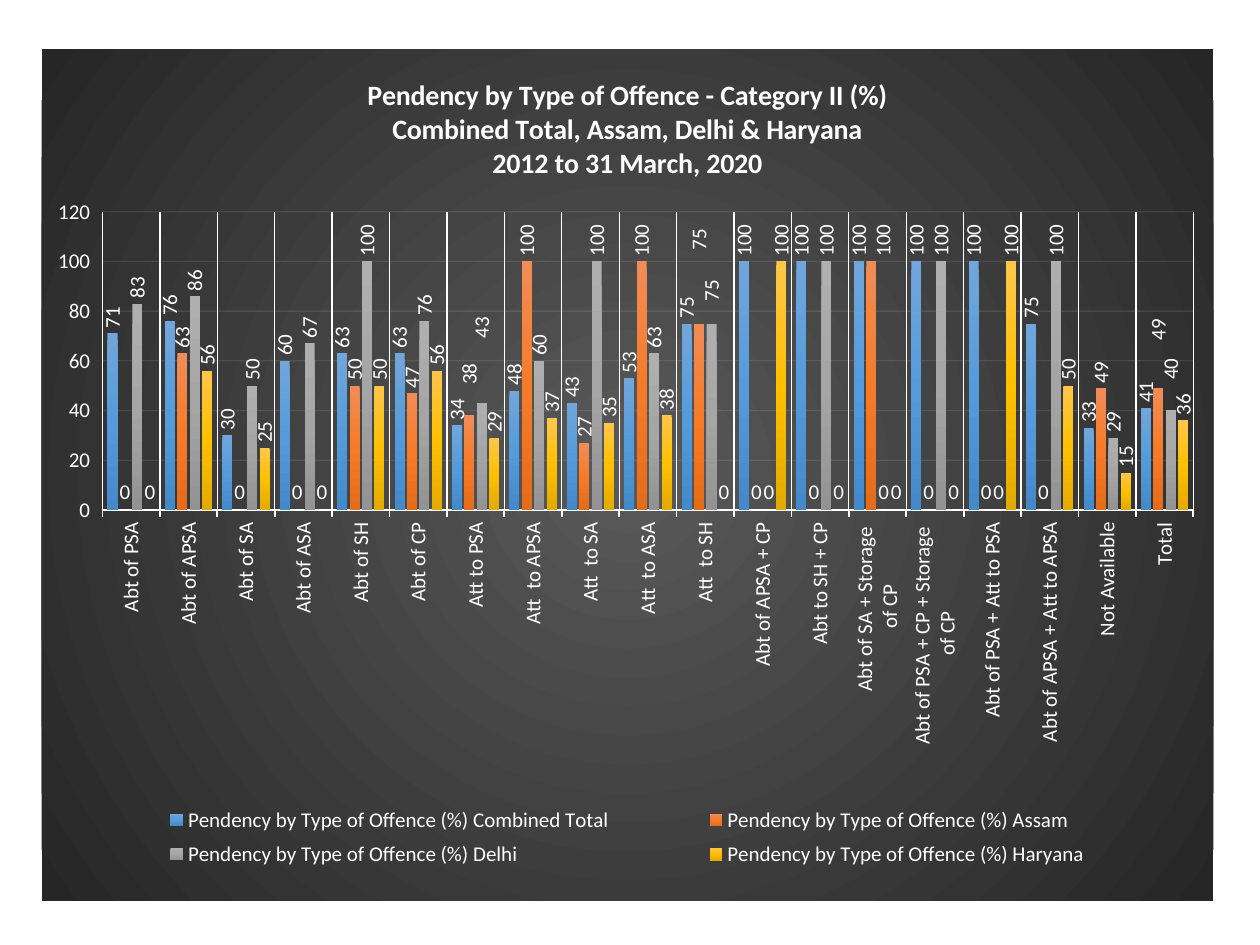
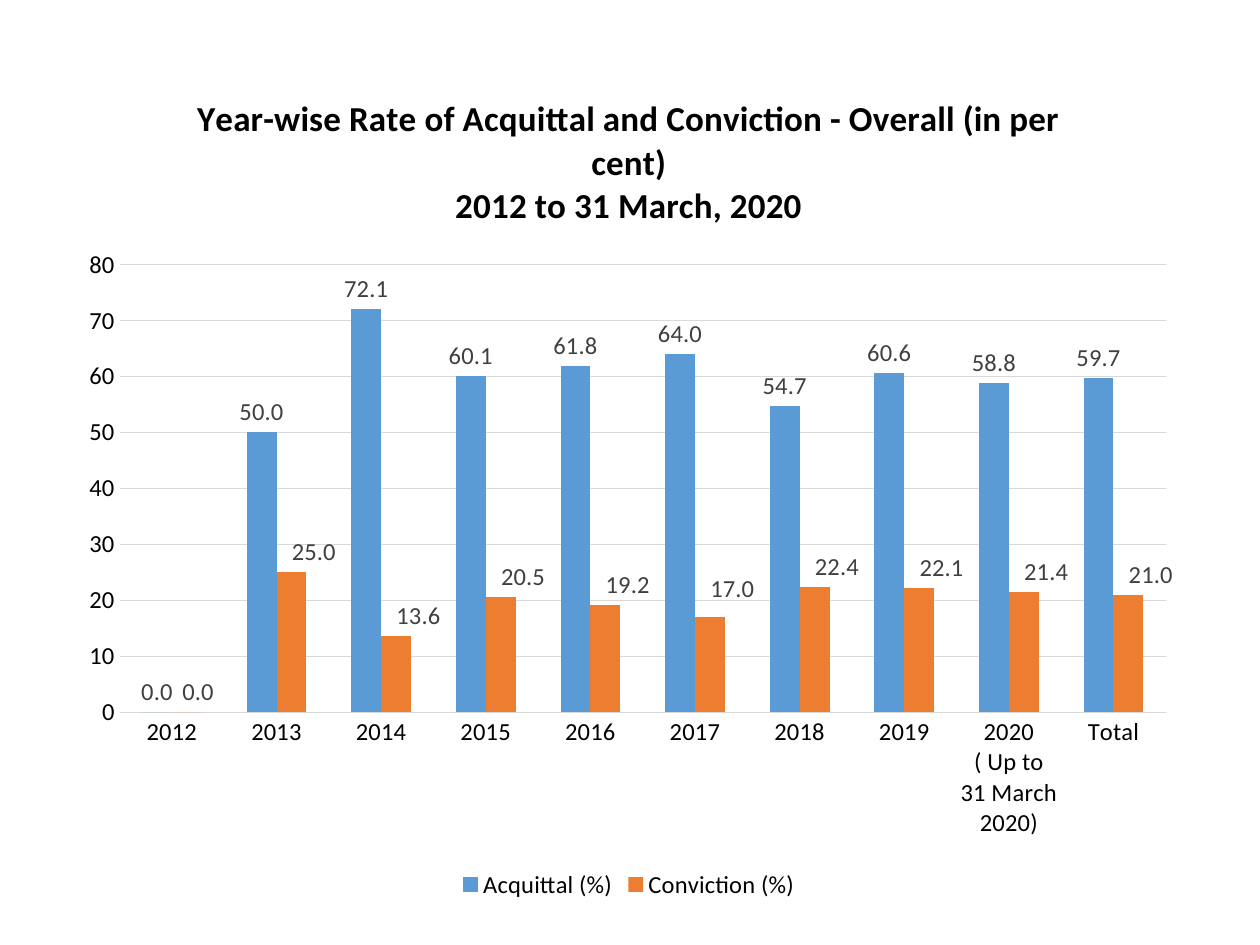
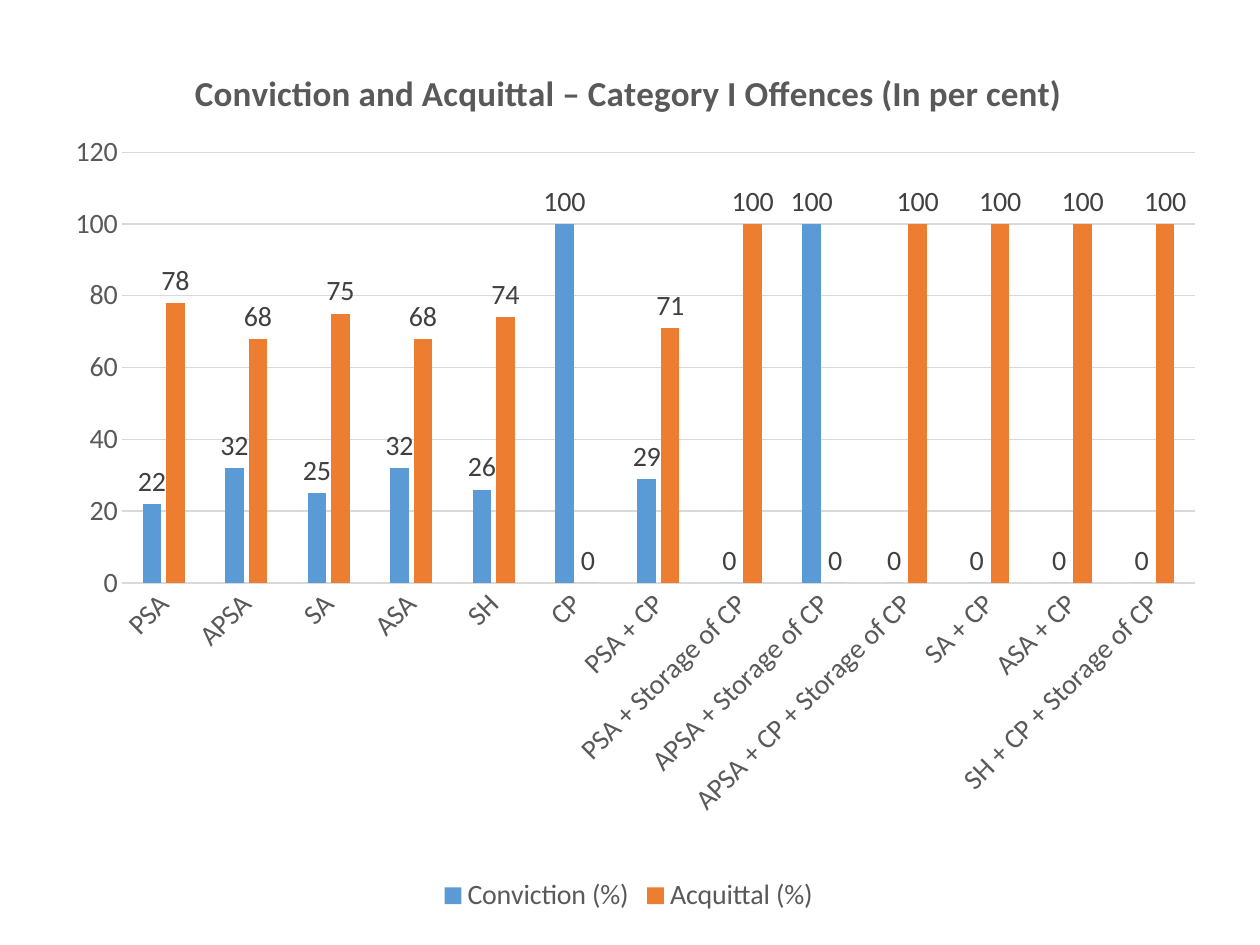
"""Build three slides of column charts on pendency, acquittal and conviction."""
from dataclasses import dataclass, field
from typing import Any, Optional

from lxml.etree import SubElement
from pptx import Presentation
from pptx.chart.data import CategoryChartData
from pptx.dml.color import RGBColor
from pptx.enum.chart import XL_CHART_TYPE, XL_LABEL_POSITION, XL_LEGEND_POSITION
from pptx.enum.chart import XL_TICK_LABEL_POSITION, XL_TICK_MARK
from pptx.oxml import parse_xml
from pptx.oxml.ns import nsdecls, qn
from pptx.util import Inches, Pt


@dataclass(frozen=True)
class Theme:
    """Shared font, colours and type sizes."""
    font: str = "Calibri"
    white: str = "FFFFFF"
    black: str = "000000"
    grey: str = "595959"
    label: str = "404040"
    rule: str = "D9D9D9"
    faint_rule: str = "F2F2F2"
    blue: str = "5B9BD5"
    orange: str = "ED7D31"
    panel: tuple[str, ...] = ("595959", "262626")
    blue_shades: tuple[str, ...] = ("71A6DB", "559BDB", "448ACA")
    orange_shades: tuple[str, ...] = ("F18C57", "F67B28", "E56C19")
    grey_shades: tuple[str, ...] = ("AFAFAF", "A5A5A5", "939393")
    gold_shades: tuple[str, ...] = ("FFC64B", "FFC000", "E3AB00")
    small: int = 12
    medium: int = 14
    large: int = 16
    heading: int = 20


THEME = Theme()


@dataclass(frozen=True)
class Series:
    """One set of columns; shifts move single labels by chart fractions."""
    name: str
    values: tuple[float, ...]
    shades: tuple[str, ...]
    shifts: dict[int, tuple[float, float]] = field(default_factory=dict)


@dataclass(frozen=True)
class ColumnChart:
    """Everything that differs between the chart slides."""
    title: str
    box: tuple[float, float, float, float]
    plot: tuple[float, float, float, float]
    categories: tuple[str, ...]
    series: tuple[Series, ...]
    gap: int
    overlap: int
    title_size: int
    text_size: int
    title_color: str
    text_color: str
    label_color: str
    maximum: int
    step: int
    label_format: str = "0"
    category_turn: int = 0
    label_turn: int = 0
    category_place: XL_TICK_LABEL_POSITION = XL_TICK_LABEL_POSITION.NEXT_TO_AXIS
    axis_line: Optional[str] = None
    axis_width: float = 0.75
    category_grid: Optional[str] = None
    value_grid: str = THEME.rule
    grid_opacity: int = 100
    tick: XL_TICK_MARK = XL_TICK_MARK.NONE
    panel: tuple[str, ...] = ()
    legend: tuple[float, ...] = ()


def apply_format(target: Any, values: dict[str, Any]) -> None:
    """Set every named attribute on the target."""
    for name, value in values.items():
        setattr(target, name, value)


def format_font(font: Any, size: int, color: str, bold: bool = False) -> None:
    """Give a font the theme face with a size and colour."""
    apply_format(font, {"name": THEME.font, "size": Pt(size), "bold": bold})
    font.color.rgb = RGBColor.from_string(color)


def format_line(line: Any, color: Optional[str], width: float = 0.75, opacity: int = 100) -> None:
    """Colour a line, or hide it when there is no colour."""
    if color is None:
        line.fill.background()
        return
    line.width = Pt(width)
    line.color.rgb = RGBColor.from_string(color)
    if opacity < 100:
        color_element = line._ln.find(f".//{qn('a:srgbClr')}")
        SubElement(color_element, qn("a:alpha"), val=str(opacity * 1000))


def gradient(colors: tuple[str, ...], direction: str) -> Any:
    """Make a gradient fill with evenly spaced stops."""
    stops = "".join(
        f'<a:gs pos="{100000 * index // (len(colors) - 1)}"><a:srgbClr val="{color}"/></a:gs>'
        for index, color in enumerate(colors))
    return parse_xml(f'<a:gradFill {nsdecls("a")} rotWithShape="1">'
                     f'<a:gsLst>{stops}</a:gsLst>{direction}</a:gradFill>')


def turn_text(element: Any, degrees: int) -> None:
    """Rotate the text of a chart element."""
    body = element.find(f"{qn('c:txPr')}/{qn('a:bodyPr')}")
    body.set("rot", str(degrees * 60000))
    body.set("vert", "horz")


def add_layout(parent: Any, values: dict[str, Any]) -> Any:
    """Add a manual layout with the given settings."""
    layout = SubElement(parent, qn("c:layout"))
    manual = SubElement(layout, qn("c:manualLayout"))
    for name, value in values.items():
        SubElement(manual, qn(f"c:{name}"), val=str(value))
    return layout


def place_part(part: Any, place: tuple[float, ...], position: int, target: dict[str, str]) -> None:
    """Fix a chart part at fractions of the chart."""
    for layout in part.findall(qn("c:layout")):
        part.remove(layout)
    settings = target | {"xMode": "edge", "yMode": "edge"} | dict(zip("xywh", place))
    part.insert(position, add_layout(part, settings))


def paint_panel(chart: Any, colors: tuple[str, ...]) -> None:
    """Fill the whole chart with a radial gradient."""
    properties = parse_xml(f'<c:spPr {nsdecls("c", "a")}><a:ln><a:noFill/></a:ln></c:spPr>')
    properties.insert(0, gradient(
        colors, '<a:path path="circle"><a:fillToRect l="50000" t="50000" '
                'r="50000" b="50000"/></a:path>'))
    chart._chartSpace.find(qn("c:chart")).addnext(properties)


def format_point_label(point: Any, spec: ColumnChart, turn: int, shift: tuple[float, float]) -> None:
    """Give one label its own turn and offset."""
    label = point.data_label
    format_font(label.font, spec.text_size, spec.label_color)
    label.position = XL_LABEL_POSITION.OUTSIDE_END
    element = label._dLbl
    turn_text(element, turn)
    index = element.find(qn("c:idx"))
    number_format = SubElement(element, qn("c:numFmt"), formatCode=spec.label_format, sourceLinked="0")
    index.addnext(number_format)
    if any(shift):
        index.addnext(add_layout(element, dict(zip("xy", shift))))


def format_series(plot_series: Any, series: Series, spec: ColumnChart) -> None:
    """Fill one series and set its labels."""
    fill = plot_series.format.fill
    fill.solid()
    fill.fore_color.rgb = RGBColor.from_string(series.shades[0])
    if len(series.shades) > 1:
        properties = plot_series._element.find(qn("c:spPr"))
        properties.replace(properties.find(qn("a:solidFill")),
                           gradient(series.shades, '<a:lin ang="5400000" scaled="0"/>'))
    plot_series.invert_if_negative = False
    labels = plot_series.data_labels
    format_font(labels.font, spec.text_size, spec.label_color)
    apply_format(labels, {"show_value": True, "number_format": spec.label_format,
                          "number_format_is_linked": False,
                          "position": XL_LABEL_POSITION.OUTSIDE_END})
    turn_text(labels._element, spec.label_turn)
    for leader_lines in labels._element.findall(qn("c:showLeaderLines")):
        leader_lines.set("val", "0")
    for index, value in enumerate(series.values):
        upright = value == 0 and spec.label_turn != 0
        if upright or index in series.shifts:
            turn = 0 if upright else spec.label_turn
            format_point_label(plot_series.points[index], spec, turn, series.shifts.get(index, (0, 0)))


def format_axes(chart: Any, spec: ColumnChart) -> None:
    """Set both axes, their lines and gridlines."""
    category, value = chart.category_axis, chart.value_axis
    for axis, grid, opacity in ((category, spec.category_grid, 100),
                                (value, spec.value_grid, spec.grid_opacity)):
        apply_format(axis, {"major_tick_mark": spec.tick, "minor_tick_mark": XL_TICK_MARK.NONE,
                            "has_major_gridlines": grid is not None})
        format_font(axis.tick_labels.font, spec.text_size, spec.text_color)
        if grid:
            format_line(axis.major_gridlines.format.line, grid, opacity=opacity)
    category.tick_label_position = spec.category_place
    format_line(category.format.line, spec.axis_line, spec.axis_width)
    turn_text(category._element, spec.category_turn)
    apply_format(value, {"minimum_scale": 0, "maximum_scale": spec.maximum, "major_unit": spec.step})
    apply_format(value.tick_labels, {"number_format": "0", "number_format_is_linked": False})
    format_line(value.format.line, None)


def add_chart_slide(presentation: Any, spec: ColumnChart) -> None:
    """Add a blank slide holding one column chart."""
    slide = presentation.slides.add_slide(presentation.slide_layouts[6])
    data = CategoryChartData(number_format=spec.label_format)
    data.categories = spec.categories
    for series in spec.series:
        data.add_series(series.name, series.values)
    chart = slide.shapes.add_chart(XL_CHART_TYPE.COLUMN_CLUSTERED,
                                   *(Inches(length) for length in spec.box), data).chart
    format_font(chart.font, spec.text_size, THEME.black)
    apply_format(chart, {"has_title": True, "has_legend": True})
    chart.chart_title.include_in_layout = False
    frame = chart.chart_title.text_frame
    frame.text = spec.title
    for paragraph in frame.paragraphs:
        for run in paragraph.runs:
            format_font(run.font, spec.title_size, spec.title_color, bold=True)
    apply_format(chart.legend, {"position": XL_LEGEND_POSITION.BOTTOM, "include_in_layout": False})
    format_font(chart.legend.font, spec.text_size, spec.text_color)
    plot = chart.plots[0]
    apply_format(plot, {"gap_width": spec.gap, "overlap": spec.overlap, "vary_by_categories": False})
    for plot_series, series in zip(plot.series, spec.series):
        format_series(plot_series, series, spec)
    format_axes(chart, spec)
    place_part(chart._chartSpace.find(f".//{qn('c:plotArea')}"), spec.plot, 0,
               {"layoutTarget": "inner"})
    if spec.legend:
        place_part(chart.legend._element, spec.legend, 1, {})
    if spec.panel:
        paint_panel(chart, spec.panel)


PENDENCY_NAME = "Pendency by Type of Offence (%)"

PENDENCY = ColumnChart(
    title="Pendency by Type of Offence - Category II (%)\n"
          "Combined Total, Assam, Delhi & Haryana\n2012 to 31 March, 2020",
    box=(0.33, 0.39, 9.3, 6.76), plot=(0.052, 0.191, 0.931, 0.35),
    categories=("Abt of PSA", "Abt of APSA", "Abt of SA", "Abt of ASA", "Abt of SH", "Abt of CP",
                "Att to PSA", "Att  to APSA", "Att  to SA", "Att  to ASA", "Att  to SH",
                "Abt of APSA + CP", "Abt to SH + CP", "Abt of SA + Storage \nof CP",
                "Abt of PSA + CP + Storage \nof CP", "Abt of PSA + Att to PSA",
                "Abt of APSA + Att to APSA", "Not Available", "Total"),
    series=(
        Series(f"{PENDENCY_NAME} Combined Total",
               (71, 76, 30, 60, 63, 63, 34, 48, 43, 53, 75, 100, 100, 100, 100, 100, 75, 33, 41),
               THEME.blue_shades),
        Series(f"{PENDENCY_NAME} Assam",
               (0, 63, 0, 0, 50, 47, 38, 100, 27, 100, 75, 0, 0, 100, 0, 0, 0, 49, 49),
               THEME.orange_shades,
               {6: (0, -0.03), 10: (0, -0.08), 13: (0.01, 0), 18: (0, -0.05)}),
        Series(f"{PENDENCY_NAME} Delhi",
               (83, 86, 50, 67, 100, 76, 43, 60, 100, 63, 75, 0, 100, 0, 100, 0, 100, 29, 40),
               THEME.grey_shades, {6: (0, -0.07), 10: (0, -0.02), 18: (0, -0.03)}),
        Series(f"{PENDENCY_NAME} Haryana",
               (0, 56, 25, 0, 50, 56, 29, 37, 35, 38, 0, 100, 0, 0, 0, 100, 50, 15, 36),
               THEME.gold_shades)),
    gap=100, overlap=-24, title_size=THEME.large, text_size=THEME.small,
    title_color=THEME.white, text_color=THEME.white, label_color=THEME.white,
    maximum=120, step=20, category_turn=-90, label_turn=-90,
    category_place=XL_TICK_LABEL_POSITION.LOW,
    axis_line=THEME.white, axis_width=1, category_grid=THEME.white,
    value_grid=THEME.faint_rule, grid_opacity=10, tick=XL_TICK_MARK.OUTSIDE, panel=THEME.panel,
    legend=(0.03, 0.88, 0.94, 0.09))

YEARLY_RATES = ColumnChart(
    title="Year-wise Rate of Acquittal and Conviction - Overall (in per cent)\n"
          "2012 to 31 March, 2020",
    box=(0.54, 0.54, 8.9, 6.64), plot=(0.046, 0.235, 0.933, 0.535),
    categories=(*map(str, range(2012, 2020)), "2020\n( Up to 31 March 2020)", "Total"),
    series=(
        Series("Acquittal (%)", (0, 50, 72.1, 60.1, 61.8, 64, 54.7, 60.6, 58.8, 59.7), (THEME.blue,)),
        Series("Conviction (%)", (0, 25, 13.6, 20.5, 19.2, 17, 22.4, 22.1, 21.4, 21), (THEME.orange,),
               {index: (0.02 if index else 0.01, -0.01 if index == 5 else 0)
                for index in range(10)})),
    gap=150, overlap=0, title_size=THEME.heading, text_size=THEME.medium,
    title_color=THEME.black, text_color=THEME.black, label_color=THEME.label,
    maximum=80, step=10, label_format="0.0")

CATEGORY_ONE = ColumnChart(
    title="Conviction and Acquittal – Category I Offences (In per cent)",
    box=(0.34, 0.3, 9.3, 6.99), plot=(0.068, 0.13, 0.915, 0.489),
    categories=("PSA", "APSA", "SA", "ASA", "SH", "CP", "PSA + CP", "PSA + Storage of CP",
                "APSA + Storage of CP", "APSA + CP + Storage of CP", "SA + CP", "ASA + CP",
                "SH + CP + Storage of CP"),
    series=(
        Series("Conviction (%)", (22, 32, 25, 32, 26, 100, 29, 0, 100, 0, 0, 0, 0), (THEME.blue,)),
        Series("Acquittal (%)", (78, 68, 75, 68, 74, 0, 71, 100, 0, 100, 100, 100, 100),
               (THEME.orange,))),
    gap=219, overlap=-27, title_size=THEME.heading, text_size=THEME.large,
    title_color=THEME.grey, text_color=THEME.grey, label_color=THEME.label,
    maximum=120, step=20, category_turn=-45, axis_line=THEME.rule)


def main() -> None:
    """Build and save the presentation."""
    presentation = Presentation()
    apply_format(presentation, {"slide_width": Inches(10), "slide_height": Inches(7.5)})
    for spec in (PENDENCY, YEARLY_RATES, CATEGORY_ONE):
        add_chart_slide(presentation, spec)
    presentation.save("out.pptx")


if __name__ == "__main__":
    main()
